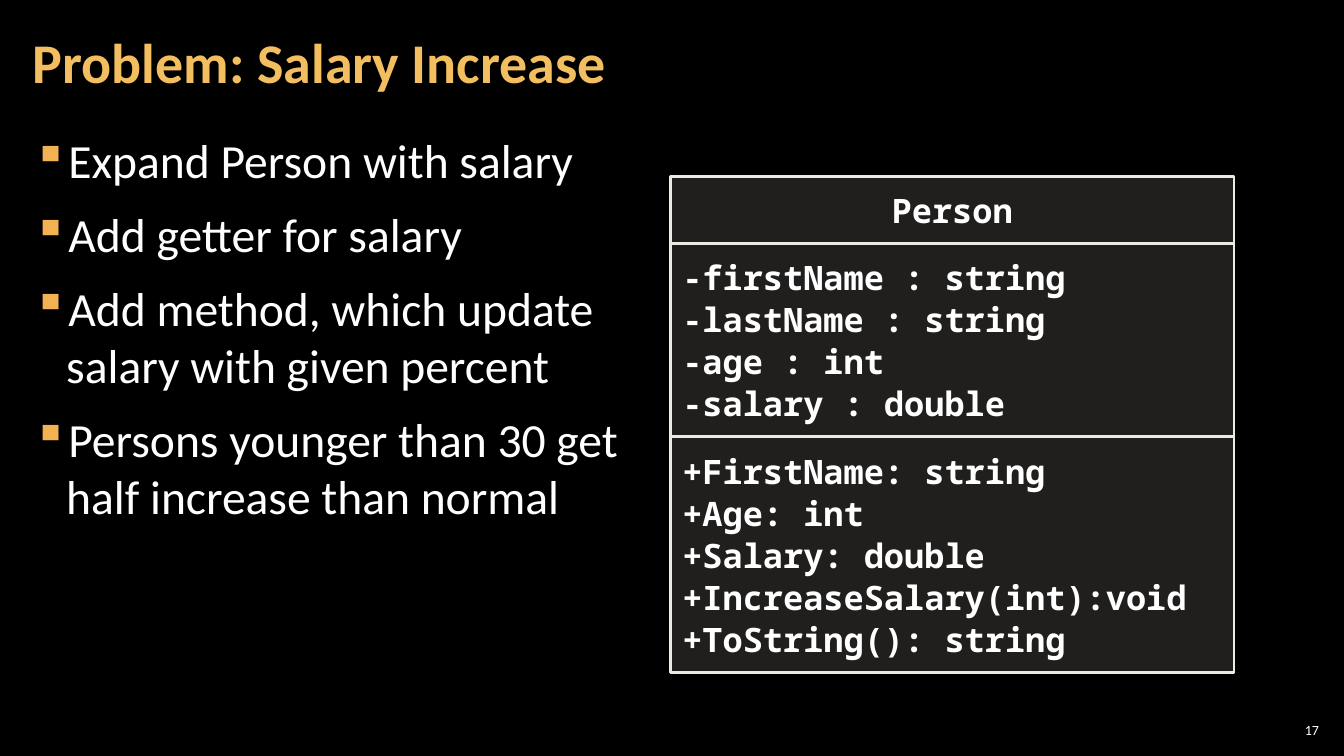
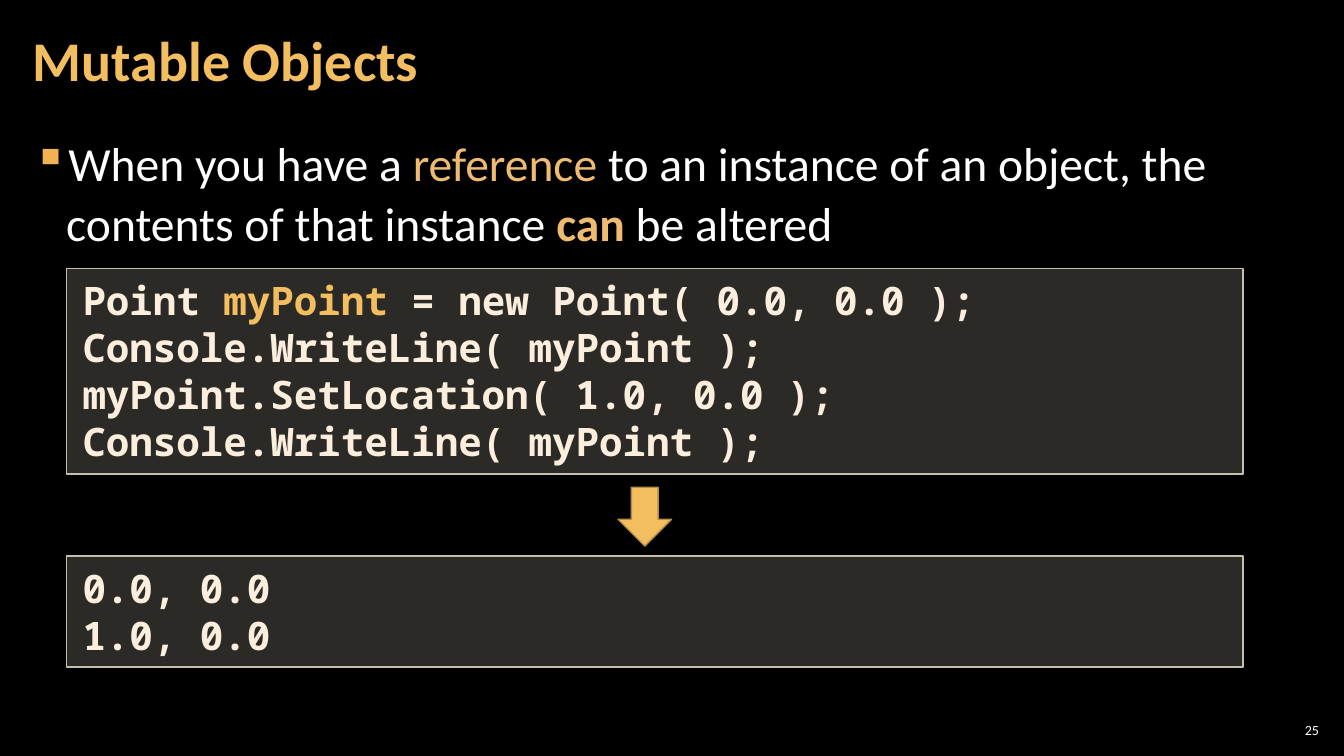
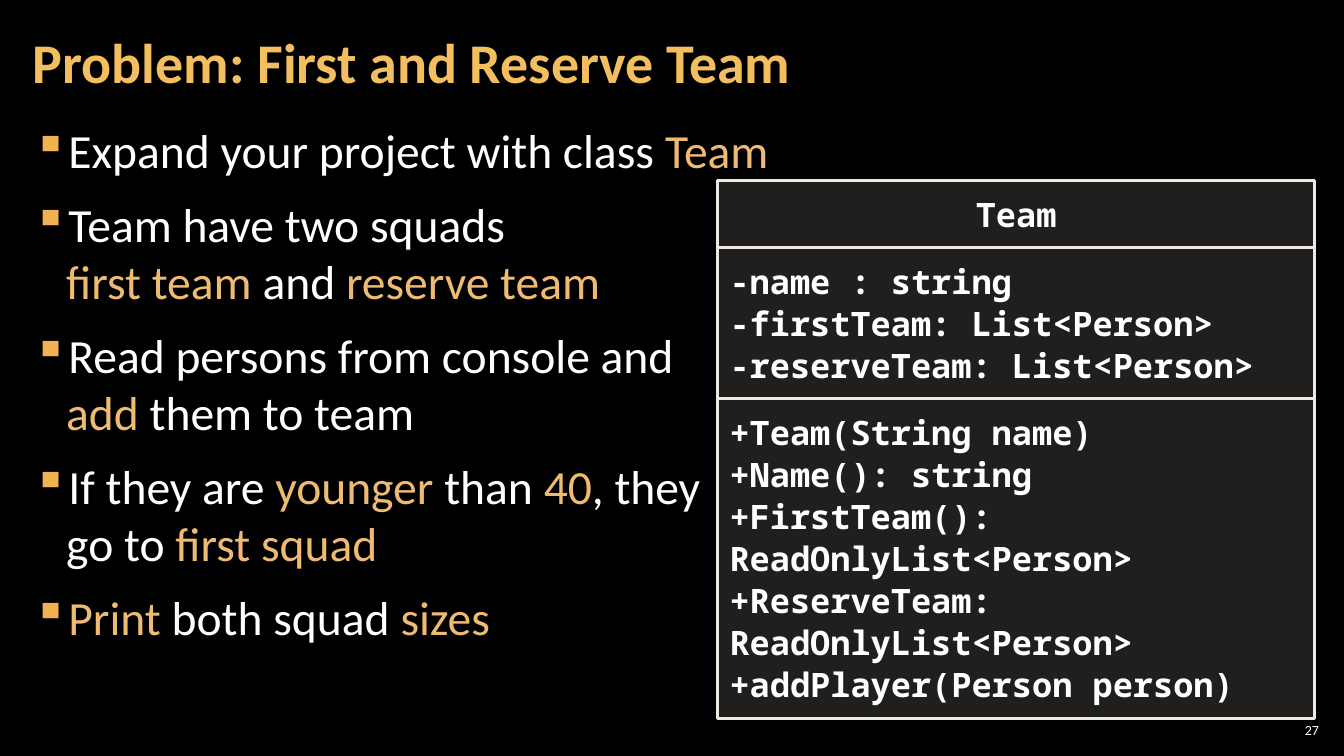
from dataclasses import dataclass
from typing import NamedTuple

from lxml import etree
from pptx import Presentation
from pptx.dml.color import RGBColor
from pptx.enum.shapes import MSO_SHAPE
from pptx.enum.text import MSO_ANCHOR, PP_ALIGN
from pptx.oxml.ns import qn
from pptx.util import Cm, Pt

RECT, DOWN_ARROW = MSO_SHAPE.RECTANGLE, MSO_SHAPE.DOWN_ARROW
TOP, MIDDLE = MSO_ANCHOR.TOP, MSO_ANCHOR.MIDDLE
LEFT, CENTER, RIGHT = PP_ALIGN.LEFT, PP_ALIGN.CENTER, PP_ALIGN.RIGHT
TITLE_ONLY = 5


# Theme
@dataclass(frozen=True)
class Theme:
    background: str = "000000"
    text: str = "FFFFFF"
    title: str = "F3BE60"
    accent: str = "EFBB72"
    bullet: str = "F2B254"
    panel: str = "D9D5C7"
    uml_line: str = "ECEAE3"
    code_line: str = "C7BFAC"
    code_text: str = "FBEEDC"
    arrow_line: str = "B48D47"
    font: str = "Calibri"
    mono: str = "Noto Sans Mono"
    title_size: int = 40
    body_size: int = 34
    code_size: int = 28
    uml_size: int = 24
    number_size: int = 10


THEME = Theme()


class Span(NamedTuple):
    text: str
    color: str = THEME.text
    bold: bool = False


class Style(NamedTuple):
    font: str
    size: int


class Box(NamedTuple):
    """Left, top, width and height in centimetres."""
    left: float
    top: float
    width: float
    height: float


class Panel(NamedTuple):
    line: str
    line_width: float
    alpha: int
    inset_x: float
    inset_y: float
    line_height: float
    style: Style


@dataclass(frozen=True)
class UmlClass:
    left: float
    top: float
    width: float
    name: str
    fields: list[str]
    members: list[str]


TITLE_STYLE = Style(THEME.font, THEME.title_size)
BODY_STYLE = Style(THEME.font, THEME.body_size)
NUMBER_STYLE = Style(THEME.font, THEME.number_size)
UML = Panel(THEME.uml_line, 2, 15, 0.3, 0.3, 30, Style(THEME.mono, THEME.uml_size))
CODE = Panel(THEME.code_line, 1, 20, 0.4, 0.2, 33.6, Style(THEME.mono, THEME.code_size))

TITLE_BOX = Box(0.53, 0.1, 26.6, 3.07)
NUMBER_BOX = Box(32.13, 18.13, 1.2, 0.53)
WIDE_BODY = Box(0.53, 3.2, 32.8, 15.47)
NARROW_BODY = Box(0.53, 2.95, 19.58, 15.47)
UML_ROW, UML_PADDING = 1.06, 0.63
CODE_LEFT, CODE_WIDTH = 1.68, 29.64


# Text helpers
def rgb(value: str) -> RGBColor:
    return RGBColor.from_string(value)


def accent(text: str, bold: bool = False) -> Span:
    return Span(text, THEME.accent, bold)


def cm_box(box: Box) -> list[Cm]:
    return [Cm(v) for v in box]


def set_frame(tf, inset_x: float, inset_y: float, anchor=TOP) -> None:
    tf.word_wrap = True
    tf.vertical_anchor = anchor
    tf.margin_left = tf.margin_right = Cm(inset_x)
    tf.margin_top = tf.margin_bottom = Cm(inset_y)


def add_spans(p, spans: list[Span], style: Style) -> None:
    for span in spans:
        for i, piece in enumerate(span.text.split("\n")):
            if i:
                p.add_line_break()
            if piece:
                r = p.add_run()
                r.text = piece
                r.font.name, r.font.size = style.font, Pt(style.size)
                r.font.bold = span.bold
                r.font.color.rgb = rgb(span.color)


def fill_paragraphs(tf, paragraphs: list[list[Span]], style: Style,
                    spacing=1.0, align=LEFT) -> None:
    for i, spans in enumerate(paragraphs):
        p = tf.add_paragraph() if i else tf.paragraphs[0]
        p.alignment, p.line_spacing = align, spacing
        add_spans(p, spans, style)


def add_bullet(p) -> None:
    p.space_before = p.space_after = Pt(6)
    ppr = p._p.get_or_add_pPr()
    ppr.set("marL", str(Cm(0.84)))
    ppr.set("indent", str(-Cm(0.84)))
    color = etree.SubElement(ppr, qn("a:buClr"))
    etree.SubElement(color, qn("a:srgbClr"), val=THEME.bullet)
    etree.SubElement(ppr, qn("a:buChar"), char="▪")


# Slide parts
def start_slide(prs, title: str, number: int, spacing=0.9):
    slide = prs.slides.add_slide(prs.slide_layouts[TITLE_ONLY])
    sp = slide.shapes.title
    sp.left, sp.top, sp.width, sp.height = cm_box(TITLE_BOX)
    set_frame(sp.text_frame, 0.3, 0.1, MIDDLE)
    fill_paragraphs(sp.text_frame, [[Span(title, THEME.title, True)]],
                    TITLE_STYLE, spacing)
    tf = slide.shapes.add_textbox(*cm_box(NUMBER_BOX)).text_frame
    set_frame(tf, 0.1, 0.1, MIDDLE)
    fill_paragraphs(tf, [[Span(str(number))]], NUMBER_STYLE, align=RIGHT)
    return slide


def add_body(slide, box: Box, paragraphs: list[list[Span]], spacing=1.0) -> None:
    tf = slide.shapes.add_textbox(*cm_box(box)).text_frame
    set_frame(tf, 0.3, 0.1)
    fill_paragraphs(tf, paragraphs, BODY_STYLE, spacing)
    for p in tf.paragraphs:
        add_bullet(p)


def add_filled(shapes, kind, box: Box, fill: str, line: str, width: float):
    sp = shapes.add_shape(kind, *cm_box(box))
    sp.shadow.inherit = False
    sp.fill.solid()
    sp.fill.fore_color.rgb = rgb(fill)
    sp.line.color.rgb = rgb(line)
    sp.line.width = Pt(width)
    return sp


def add_panel(shapes, box: Box, panel: Panel, paragraphs: list[list[Span]],
              align=LEFT) -> None:
    sp = add_filled(shapes, RECT, box, THEME.panel, panel.line, panel.line_width)
    color = sp.element.spPr.find(qn("a:solidFill"))[0]
    etree.SubElement(color, qn("a:alpha"), val=str(panel.alpha * 1000))
    set_frame(sp.text_frame, panel.inset_x, panel.inset_y)
    fill_paragraphs(sp.text_frame, paragraphs, panel.style,
                    Pt(panel.line_height), align)


def add_uml(slide, uml: UmlClass, wrapped_lines: int = 0) -> None:
    """Stack name, fields and members; wrapped_lines lengthens the members."""
    shapes = slide.shapes.add_group_shape().shapes
    top = uml.top
    sections = [([uml.name], 0, CENTER), (uml.fields, 0, LEFT),
                (uml.members, wrapped_lines, LEFT)]
    for lines, extra, align in sections:
        height = UML_ROW * (len(lines) + extra) + UML_PADDING
        add_panel(shapes, Box(uml.left, top, uml.width, height), UML,
                  [[Span(line, bold=True)] for line in lines], align)
        top += height


def code(text: str, color: str = THEME.code_text) -> Span:
    return Span(text, color, True)


# Slides
def salary_slide(prs) -> None:
    slide = start_slide(prs, "Problem: Salary Increase", 17)
    add_body(slide, WIDE_BODY, [
        [Span("Expand Person with salary")],
        [Span("Add getter for salary")],
        [Span("Add method, which update\nsalary with given percent")],
        [Span("Persons younger than 30 get\nhalf increase than normal")],
    ])
    add_uml(slide, UmlClass(
        16.89, 4.45, 14.2, "Person",
        ["-firstName : string", "-lastName : string", "-age : int",
         "-salary : double"],
        ["+FirstName: string", "+Age: int", "+Salary: double",
         "+IncreaseSalary(int):void", "+ToString(): string"]))


def mutable_slide(prs) -> None:
    slide = start_slide(prs, "Mutable Objects", 25, Pt(THEME.title_size))
    add_body(slide, WIDE_BODY, [[
        Span("When you have a "), accent("reference"),
        Span(" to an instance of an object, the contents of that instance "),
        accent("can", True), Span(" be altered"),
    ]], 1.05)
    add_panel(slide.shapes, Box(CODE_LEFT, 6.77, CODE_WIDTH, 5.18), CODE, [
        [code("Point "), code("myPoint", THEME.title),
         code(" = new Point( 0.0, 0.0 );")],
        [code("Console.WriteLine( myPoint );")],
        [code("myPoint.SetLocation( 1.0, 0.0 );")],
        [code("Console.WriteLine( myPoint );")],
    ])
    add_filled(slide.shapes, DOWN_ARROW, Box(15.57, 12.28, 1.35, 1.48),
               THEME.title, THEME.arrow_line, 1)
    add_panel(slide.shapes, Box(CODE_LEFT, 14.01, CODE_WIDTH, 2.8), CODE,
              [[code("0.0, 0.0")], [code("1.0, 0.0")]])


def team_slide(prs) -> None:
    slide = start_slide(prs, "Problem: First and Reserve Team", 27)
    add_body(slide, NARROW_BODY, [
        [Span("Expand your project with class "), accent("Team")],
        [Span("Team have two squads\n"), accent("first team "), Span("and "),
         accent("reserve team")],
        [Span("Read persons from console and\n"), accent("add"),
         Span(" them to team")],
        [Span("If they are "), accent("younger"), Span(" than "), accent("40"),
         Span(", they \ngo to "), accent("first squad")],
        [accent("Print "), Span("both squad "), accent("sizes")],
    ])
    add_uml(slide, UmlClass(
        18.08, 4.55, 15.04, "Team",
        ["-name : string", "-firstTeam: List<Person>",
         "-reserveTeam: List<Person>"],
        ["+Team(String name)", "+Name(): string",
         "+FirstTeam(): ReadOnlyList<Person>",
         "+ReserveTeam: ReadOnlyList<Person>",
         "+addPlayer(Person person)"]), wrapped_lines=2)


def main() -> None:
    prs = Presentation()
    prs.slide_width, prs.slide_height = Cm(33.86), Cm(19.05)
    background = prs.slide_master.background.fill
    background.solid()
    background.fore_color.rgb = rgb(THEME.background)
    for build in (salary_slide, mutable_slide, team_slide):
        build(prs)
    prs.save("out.pptx")


if __name__ == "__main__":
    main()
